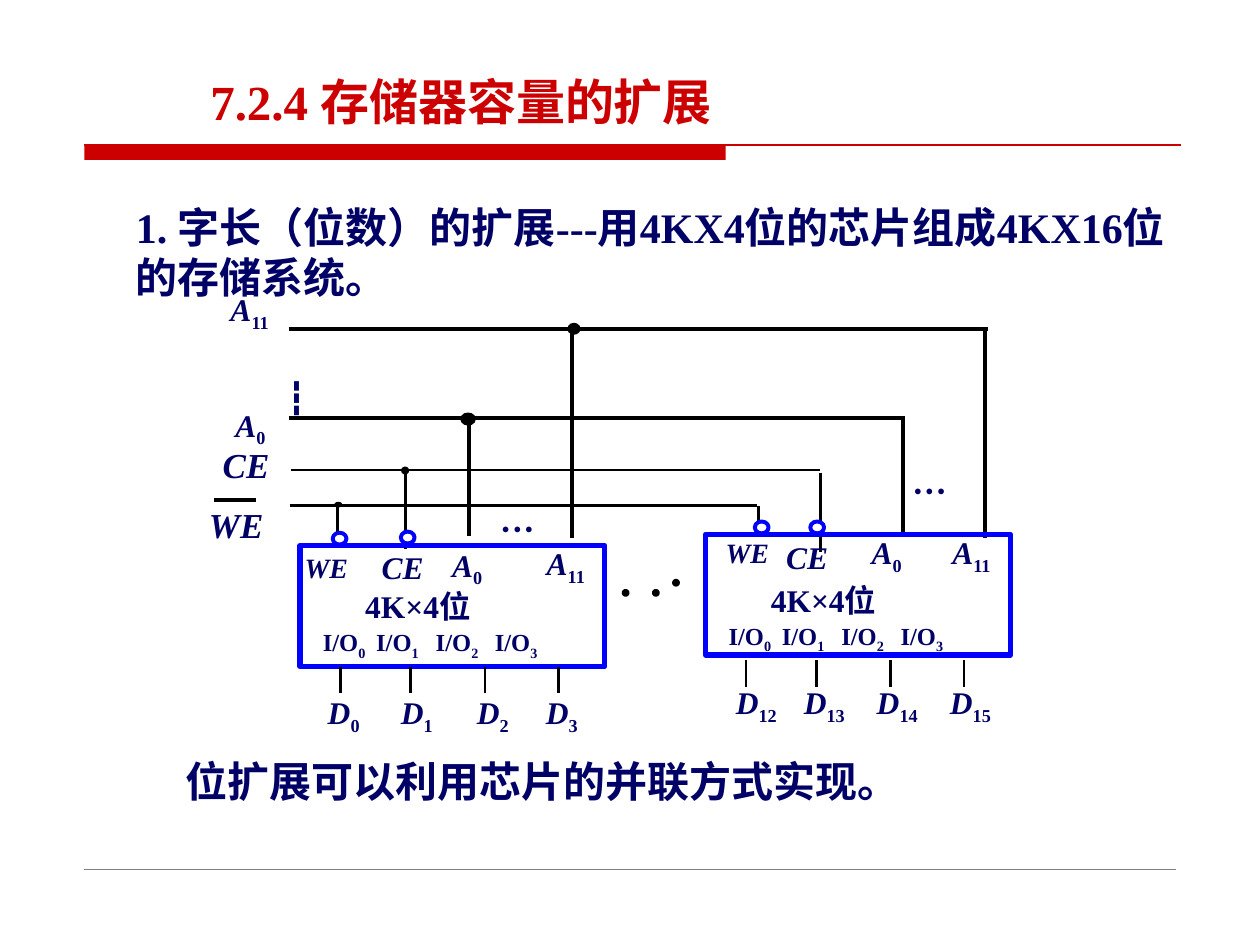
from lxml import etree
from pptx import Presentation
from pptx.dml.color import RGBColor
from pptx.enum.shapes import MSO_CONNECTOR, MSO_SHAPE
from pptx.enum.text import MSO_ANCHOR, PP_ALIGN
from pptx.oxml.ns import qn
from pptx.util import Pt

STRAIGHT = MSO_CONNECTOR.STRAIGHT
RECTANGLE, OVAL = MSO_SHAPE.RECTANGLE, MSO_SHAPE.OVAL
LEFT, MIDDLE = PP_ALIGN.LEFT, MSO_ANCHOR.MIDDLE

FONT = "Times New Roman"
RED, NAVY, BLUE = "CC0000", "000066", "0000FF"
BLACK, WHITE, GREY = "000000", "FFFFFF", "808080"

# Horizontal offsets from a chip's left edge
PIN_OFFSETS = (23, 63.3, 105.8, 147.6)
PORT_OFFSETS = (6, 36.5, 70.5, 104.3)


def color(value):
    return RGBColor.from_string(value)


def format_run(run, size, text_color=NAVY, italic=False):
    run.font.name = FONT
    run.font.size = Pt(size)
    run.font.bold = True
    run.font.italic = italic
    run.font.color.rgb = color(text_color)


def add_label(slide, left, top, text, subscript="", size=18, italic=False,
              width=60, height=26):
    box = slide.shapes.add_textbox(Pt(left), Pt(top), Pt(width), Pt(height))
    box.text_frame.word_wrap = True
    box.text_frame.text = text
    paragraph = box.text_frame.paragraphs[0]
    format_run(paragraph.runs[0], size, italic=italic)
    if subscript:
        run = paragraph.add_run()
        run.text = subscript
        format_run(run, size)
        run.font._element.set("baseline", "-25000")


def add_line(slide, x1, y1, x2, y2, width=1.5, line_color=BLACK):
    line = slide.shapes.add_connector(STRAIGHT, Pt(x1), Pt(y1), Pt(x2), Pt(y2))
    line.line.width = Pt(width)
    line.line.color.rgb = color(line_color)
    etree.SubElement(line._element.spPr, qn("a:effectLst"))


def add_box(slide, kind, left, top, width, height, fill=None, line=None,
            line_width=1):
    shape = slide.shapes.add_shape(kind, Pt(left), Pt(top), Pt(width), Pt(height))
    shape.shadow.inherit = False
    if fill:
        shape.fill.solid()
        shape.fill.fore_color.rgb = color(fill)
    else:
        shape.fill.background()
    if line:
        shape.line.color.rgb = color(line)
        shape.line.width = Pt(line_width)
    else:
        shape.line.fill.background()


def add_title(slide, text):
    title = slide.shapes.title
    title.left, title.top, title.width, title.height = Pt(113), Pt(37.4), Pt(532), Pt(40.3)
    title.text_frame.text = text
    title.text_frame.vertical_anchor = MIDDLE
    paragraph = title.text_frame.paragraphs[0]
    paragraph.alignment = LEFT
    format_run(paragraph.runs[0], 28, RED)


def add_buses(slide):
    # Address lines A11 and A0, then CE and WE, each with two drops
    add_line(slide, 164.9, 187.9, 564.5, 187.9, 2.25)
    add_line(slide, 326.9, 187.9, 326.9, 307.4, 2.25)
    add_line(slide, 563, 187.9, 563, 307.4, 2.25)
    add_line(slide, 164.9, 239, 516.2, 239, 2.25)
    add_line(slide, 267.8, 239, 267.8, 306, 2.25)
    add_line(slide, 516.2, 238, 516.2, 306.7, 2.25)
    add_line(slide, 166.3, 268.6, 468.7, 268.6)
    add_line(slide, 231.8, 270, 231.8, 314)
    add_line(slide, 468.7, 270, 468.7, 315.4)
    add_line(slide, 165.6, 288.7, 432.7, 288.7)
    add_line(slide, 193, 289.4, 193, 306)
    add_line(slide, 433.4, 289.4, 433.4, 306.7)

    # Junction dots
    for left, top, width, height in ((324.7, 185, 6.5, 5.8), (263.5, 236.2, 7.9, 6.5),
                                     (229.7, 267.1, 3.6, 3.6), (191.5, 287.3, 3.6, 2.2)):
        add_box(slide, OVAL, left, top, width, height, BLACK, BLACK)

    # Bus names, with the bar over WE
    add_label(slide, 124.6, 162, "A", "11", italic=True)
    add_label(slide, 157, 212.4, "┇", width=32)
    add_label(slide, 127.4, 228.2, "A", "0", italic=True)
    add_label(slide, 120.2, 249.8, "CE", size=20, italic=True)
    add_label(slide, 112.3, 284.4, "WE", size=20, italic=True)
    add_line(slide, 122.4, 285.8, 146.2, 285.8, 2.25)

    # Omitted address lines
    add_label(slide, 514.1, 264.2, "···", size=20, width=36)
    add_label(slide, 278.6, 285.8, "···", size=20, width=36)


def add_chip(slide, left, top, pin_top, port_top, inputs, capacity, bubbles,
             data_top, data_lefts, first_bit):
    add_box(slide, RECTANGLE, left, top, 174.2, 69.1, line=BLUE, line_width=3)
    for x, y in bubbles:
        add_box(slide, OVAL, x, y, 7.9, 6.8, WHITE, BLUE, 2.25)

    # Input names and capacity
    for (text, subscript, size), (x, y) in zip(
            (("WE", "", 16), ("CE", "", 18), ("A", "0", 18), ("A", "11", 18)), inputs):
        add_label(slide, x, y, text, subscript, size, italic=True, width=48)
    add_label(slide, *capacity, "4K×4位", width=112)

    # Ports, pins and data bits
    for index, (port, pin, data_left) in enumerate(
            zip(PORT_OFFSETS, PIN_OFFSETS, data_lefts)):
        add_label(slide, left + port, port_top, "I/O", str(index), 14, width=46, height=21)
        add_line(slide, left + pin, pin_top, left + pin, pin_top + 15.1)
        add_label(slide, data_left, data_top, "D", str(first_bit + index), italic=True)


def main():
    presentation = Presentation()
    presentation.slide_width, presentation.slide_height = Pt(720), Pt(540)
    slide = presentation.slides.add_slide(presentation.slide_layouts[5])

    # Title, header rule and footer rule
    add_title(slide, "7.2.4 存储器容量的扩展")
    add_box(slide, RECTANGLE, 48.2, 82.8, 366.5, 8.6, RED)
    add_line(slide, 48.2, 82.8, 674.6, 82.8, 0.75, RED)
    add_line(slide, 48.2, 496.8, 671.8, 496.8, 0.25, GREY)

    # Memory diagram
    add_buses(slide)
    add_chip(slide, 171.4, 311.8, 380.9, 355,
             inputs=((167, 311), (211, 309.6), (251.3, 308.2), (305.3, 307.4)),
             capacity=(201.6, 331.9), bubbles=((190.1, 304.4), (229, 303.8)),
             data_top=392.4, data_lefts=(180.2, 222, 265.4, 304.8), first_bit=0)
    add_chip(slide, 403.2, 305.3, 377.3, 351.4,
             inputs=((407.5, 302.4), (442.1, 303.8), (491, 301), (537.1, 301)),
             capacity=(433.4, 328.3), bubbles=((431.3, 298), (463, 298)),
             data_top=386.6, data_lefts=(413.4, 452.2, 493.9, 535.7), first_bit=12)

    # Dots for the chips in between
    for left, top in ((356.4, 337.7), (373.7, 337.7), (385.2, 331.9)):
        add_box(slide, OVAL, left, top, 2.2, 2.2, BLACK, BLACK, 2.25)

    # Statement and conclusion
    add_label(slide, 70.6, 111.6, "1. 字长（位数）的扩展---用4KX4位的芯片组成4KX16位的存储系统。",
              size=24, width=612, height=64.8)
    add_label(slide, 99, 428.4, "位扩展可以利用芯片的并联方式实现。",
              size=24, width=500, height=36)

    presentation.save("out.pptx")


if __name__ == "__main__":
    main()
